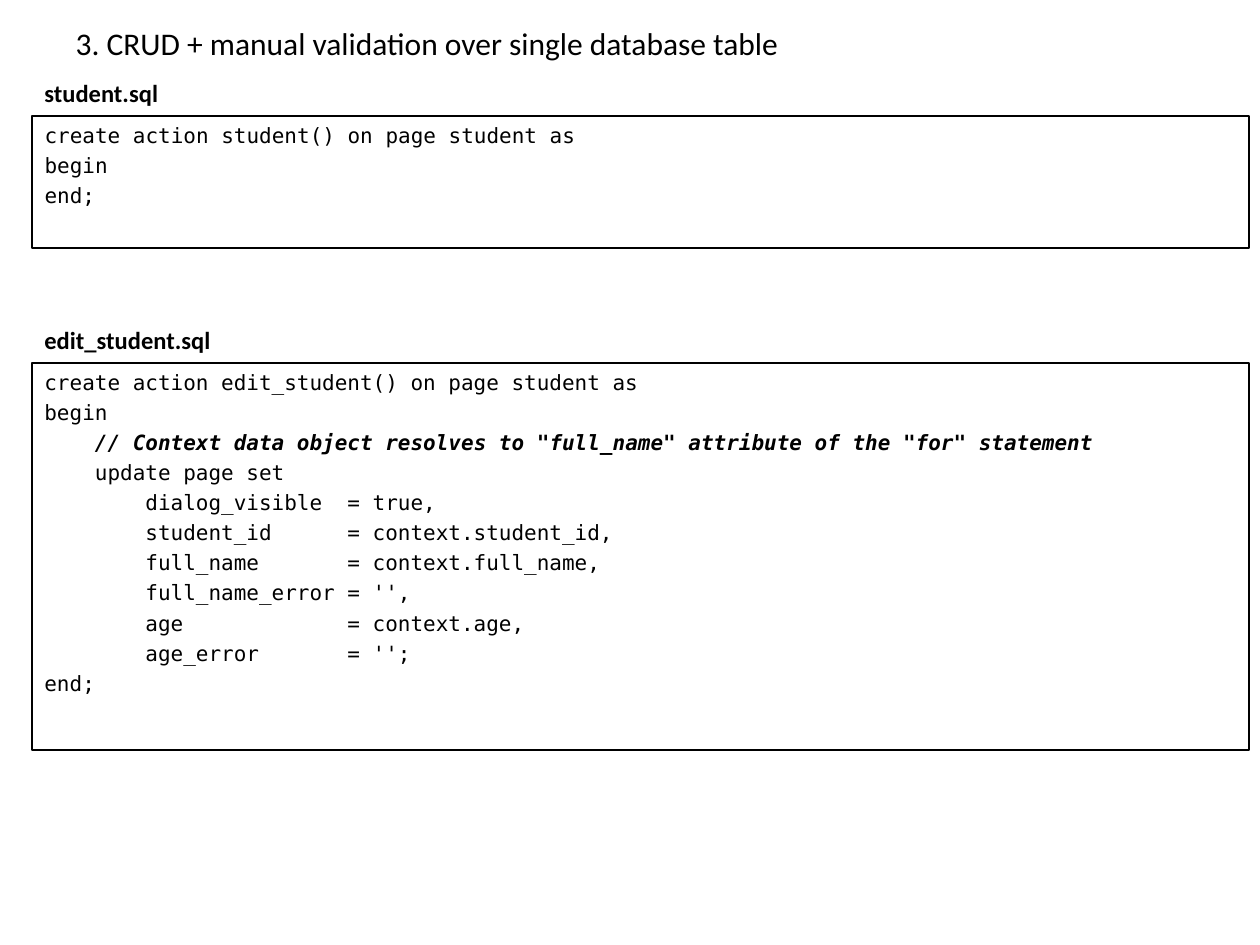
"""Build the slide that shows the student actions of a CRUD page."""
import dataclasses

import lxml.etree
import pptx
import pptx.dml.color
import pptx.enum.shapes
import pptx.enum.text
import pptx.oxml.ns
import pptx.util

EMU_PER_PX = 914400 / 126


@dataclasses.dataclass(frozen=True)
class Theme:
    ink: pptx.dml.color.RGBColor = pptx.dml.color.RGBColor(0, 0, 0)
    text_font: str = "Calibri"
    code_font: str = "DejaVu Sans Mono"
    title_size: int = 18
    label_size: int = 14
    code_size: int = 12
    code_gap: float = 2.8
    line_width: float = 0.75


THEME = Theme()
CODE_LEFT, CODE_WIDTH = 32, 1217
LABEL_HEIGHT = 44
TITLE_INDENT = 71

STUDENT_CODE = """create action student() on page student as
begin
end;"""

EDIT_STUDENT_CODE = """create action edit_student() on page student as
begin
    // Context data object resolves to "full_name" attribute of the "for" statement
    update page set
        dialog_visible  = true,
        student_id      = context.student_id,
        full_name       = context.full_name,
        full_name_error = '',
        age             = context.age,
        age_error       = '';
end;"""


def px(length):
    return pptx.util.Emu(round(length * EMU_PER_PX))


def place(shape, left, top, width, height):
    shape.left, shape.top = px(left), px(top)
    shape.width, shape.height = px(width), px(height)


def add_text(paragraph, text, font=THEME.text_font, size=THEME.label_size,
             bold=False, italic=False):
    run = paragraph.add_run()
    run.text = text
    run.font.name = font
    run.font.size = pptx.util.Pt(size)
    run.font.bold = bold
    run.font.italic = italic
    run.font.color.rgb = THEME.ink


def set_indent(paragraph, margin=0, first_line=0):
    properties = paragraph._p.get_or_add_pPr()
    properties.set("marL", str(px(margin)))
    properties.set("indent", str(px(first_line)))
    lxml.etree.SubElement(properties, pptx.oxml.ns.qn("a:buNone"))
    paragraph.alignment = pptx.enum.text.PP_ALIGN.LEFT


def fill_title(title, text):
    place(title, 63, 16, 1134, 54)
    frame = title.text_frame
    frame.auto_size = pptx.enum.text.MSO_AUTO_SIZE.NONE
    frame.vertical_anchor = pptx.enum.text.MSO_ANCHOR.MIDDLE
    paragraph = frame.paragraphs[0]
    set_indent(paragraph, TITLE_INDENT, -TITLE_INDENT)
    add_text(paragraph, text, size=THEME.title_size)


def fill_code(shape, code, top, height):
    place(shape, CODE_LEFT, top, CODE_WIDTH, height)
    shape.fill.background()
    shape.line.color.rgb = THEME.ink
    shape.line.width = pptx.util.Pt(THEME.line_width)
    frame = shape.text_frame
    frame.word_wrap = True
    frame.auto_size = pptx.enum.text.MSO_AUTO_SIZE.NONE
    frame.vertical_anchor = pptx.enum.text.MSO_ANCHOR.TOP
    for index, line in enumerate(code.splitlines()):
        paragraph = frame.add_paragraph() if index else frame.paragraphs[0]
        set_indent(paragraph)
        paragraph.space_before = pptx.util.Pt(THEME.code_gap if index else 0)
        statement, marker, remark = line.partition("//")
        add_text(paragraph, statement, font=THEME.code_font, size=THEME.code_size)
        if marker:
            add_text(paragraph, marker + remark, font=THEME.code_font,
                     size=THEME.code_size, bold=True, italic=True)


def add_label(slide, text, code_top, width):
    label = slide.shapes.add_textbox(
        px(CODE_LEFT), px(code_top - LABEL_HEIGHT), px(width), px(LABEL_HEIGHT))
    label.text_frame.word_wrap = False
    label.text_frame.auto_size = pptx.enum.text.MSO_AUTO_SIZE.SHAPE_TO_FIT_TEXT
    add_text(label.text_frame.paragraphs[0], text, bold=True)


def add_code_box(slide):
    shape = slide.shapes.add_shape(
        pptx.enum.shapes.MSO_SHAPE.RECTANGLE, 0, 0, 0, 0)
    shape.shadow.inherit = False
    return shape


def main():
    presentation = pptx.Presentation()
    presentation.slide_width = pptx.util.Inches(10)
    presentation.slide_height = pptx.util.Inches(7.5)
    slide = presentation.slides.add_slide(presentation.slide_layouts[1])

    fill_title(slide.shapes.title,
               "3. CRUD + manual validation over single database table")
    fill_code(slide.placeholders[1], STUDENT_CODE, top=116, height=132)
    add_label(slide, "student.sql", code_top=116, width=141)
    fill_code(add_code_box(slide), EDIT_STUDENT_CODE, top=363, height=387)
    add_label(slide, "edit_student.sql", code_top=363, width=193)

    presentation.save("out.pptx")


if __name__ == "__main__":
    main()
